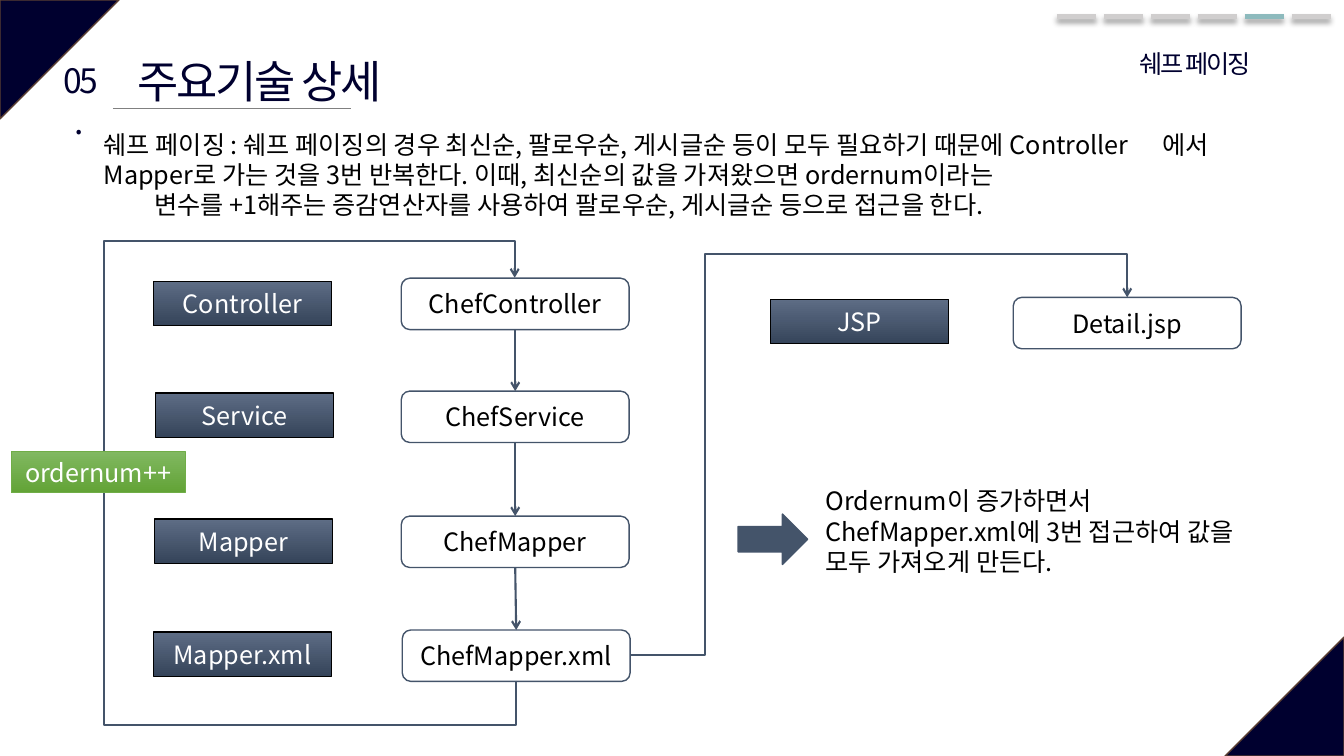
from lxml.etree import SubElement
from pptx import Presentation
from pptx.dml.color import RGBColor
from pptx.enum.shapes import MSO_CONNECTOR, MSO_SHAPE
from pptx.enum.text import MSO_ANCHOR, MSO_AUTO_SIZE, PP_ALIGN
from pptx.oxml.ns import qn
from pptx.util import Inches, Pt

FONT = "Noto Sans CJK KR"
NAVY, SLATE, BLACK, WHITE = "00002F", "44546A", "000000", "FFFFFF"
STEEL = ("5E6D85", "35445A")
GREEN = ("81B861", "62A336")

CORNERS = [(0, 0, 90), (12.15, 6.32, 270)]
TABS = ["D0CECE"] * 4 + ["8DBABD", "D0CECE"]
HEADS = [
    ("주요기술 상세", (1.12, 0.48, 2.91, 0.64), 32, False),
    ("05.", (0.5, 0.55, 0.58, 0.5), 24, False),
    ("쉐프 페이징", (10.61, 0.43, 2.49, 0.4), 18, True),
]
NOTES = [
    ("쉐프 페이징 : 쉐프 페이징의 경우 최신순, 팔로우순, 게시글순 등이 모두 필요하기 때문에 Controller\t"
     "에서 Mapper로 가는 것을 3번 반복한다. 이때, 최신순의 값을 가져왔으면 ordernum이라는\n"
     "\t변수를 +1해주는 증감연산자를 사용하여 팔로우순, 게시글순 등으로 접근을 한다.",
     (0.93, 1.23, 11.57, 1.01)),
    ("Ordernum이 증가하면서 ChefMapper.xml에 3번 접근하여 값을\n모두 가져오게 만든다.",
     (8.09, 4.77, 4.77, 1.01)),
]
LAYERS = [
    ("Controller", 1.52, 2.79), ("Service", 1.54, 3.9), ("Mapper", 1.53, 5.15),
    ("Mapper.xml", 1.52, 6.27), ("JSP", 7.64, 2.97),
]
FILES = [
    ("ChefController", 3.98, 2.76), ("ChefService", 3.98, 3.88),
    ("ChefMapper", 3.98, 5.12), ("ChefMapper.xml", 3.99, 6.25),
    ("Detail.jsp", 10.05, 2.95),
]
WIDE, TALL = 2.26, 0.51
BENDS = [
    ((7.11, 4.75, 3.11, 4.76), "bentConnector5", (-0.11, 415, 1.09), 90),
    ((6.25, 6.5, 11.18, 2.95), "bentConnector4", (0.15, 1.12), 0),
]

deck = Presentation()
deck.slide_width, deck.slide_height = Inches(13.33), Inches(7.5)
slide = deck.slides.add_slide(deck.slide_layouts[6])


def color(code):
    return RGBColor.from_string(code)


def write(frame, text, size=18, ink=BLACK, align=None, space=None):
    frame.text = text
    for para in frame.paragraphs:
        para.alignment = align
        para.font.size = Pt(size)
        para.font.name = FONT
        para.font.color.rgb = color(ink)
        for run in para.runs:
            props = run.font._element if hasattr(run.font, "_element") else run._r.get_or_add_rPr()
            if space is not None:
                props.set("spc", str(space))
            SubElement(props, qn("a:ea")).set("typeface", FONT)


def label(text, box, size=18, ink=BLACK, align=None, space=None, wrap=True):
    frame = slide.shapes.add_textbox(*map(Inches, box)).text_frame
    frame.word_wrap = wrap
    frame.auto_size = MSO_AUTO_SIZE.SHAPE_TO_FIT_TEXT
    write(frame, text, size, ink, align, space)


def block(kind, box, fill, edge, width=1, text="", ink=WHITE):
    shape = slide.shapes.add_shape(kind, *map(Inches, box))
    shape.shadow.inherit = False
    if isinstance(fill, tuple):
        shape.fill.gradient()
        shape.fill.gradient_angle = 270
        for stop, code in zip(shape.fill.gradient_stops, fill):
            stop.color.rgb = color(code)
        for stop, place in zip(shape.fill.gradient_stops, (0, 1)):
            stop.position = place
    else:
        shape.fill.solid()
        shape.fill.fore_color.rgb = color(fill)
    shape.line.color.rgb = color(edge)
    shape.line.width = Pt(width)
    if text:
        shape.text_frame.vertical_anchor = MSO_ANCHOR.MIDDLE
        write(shape.text_frame, text, ink=ink, align=PP_ALIGN.CENTER)
    return shape


def link(ends, code=SLATE, width=1.5, kind=MSO_CONNECTOR.STRAIGHT, arrow=False, shade=False):
    line = slide.shapes.add_connector(kind, *map(Inches, ends))
    line.line.color.rgb = color(code)
    line.line.width = Pt(width)
    props = line._element.spPr
    if arrow:
        SubElement(props.find(qn("a:ln")), qn("a:tailEnd")).set("type", "arrow")
    effect = SubElement(props, qn("a:effectLst"))
    if shade:
        cast = SubElement(effect, qn("a:outerShdw"), blurRad=str(Pt(4)),
                          dist=str(Pt(3)), dir="5400000", algn="t", rotWithShape="0")
        tint = SubElement(cast, qn("a:srgbClr"), val=BLACK)
        SubElement(tint, qn("a:alpha"), val="40000")
    return line


def bend(ends, name, marks, turn):
    props = link(ends, kind=MSO_CONNECTOR.ELBOW, arrow=True)._element.spPr
    props.find(qn("a:xfrm")).set("rot", str(turn * 60000))
    shape = props.find(qn("a:prstGeom"))
    shape.set("prst", name)
    guides = shape.find(qn("a:avLst"))
    for num, mark in enumerate(marks, 1):
        SubElement(guides, qn("a:gd"), name=f"adj{num}", fmla=f"val {round(mark * 100000)}")


for left, top, turn in CORNERS:
    corner = block(MSO_SHAPE.ISOSCELES_TRIANGLE, (left, top, 1.18, 1.18), NAVY, "5B3F33")
    corner.adjustments[0] = 0
    corner.rotation = turn

for num, code in enumerate(TABS):
    left = 10.48 + num * 0.466
    link((left, 0.16, left + 0.39, 0.16), code, 3.5, shade=True)
link((1.12, 1.08, 3.48, 1.08), "808080", 0.5)

for text, box, size, wrap in HEADS:
    label(text, box, size, NAVY, PP_ALIGN.CENTER, -150, wrap)
for text, box in NOTES:
    label(text, box)

for text, left, top in LAYERS:
    block(MSO_SHAPE.RECTANGLE, (left, top, 1.77, 0.44), STEEL, BLACK, text=text)
for text, left, top in FILES:
    block(MSO_SHAPE.ROUNDED_RECTANGLE, (left, top, WIDE, TALL), WHITE, SLATE, text=text, ink=BLACK)

chain = FILES[:4]
for (_, left, top), (_, after, below) in zip(chain, chain[1:]):
    link((left + WIDE / 2, top + TALL, after + WIDE / 2, below), arrow=True)
for item in BENDS:
    bend(*item)

block(MSO_SHAPE.RECTANGLE, (0.11, 4.48, 1.73, 0.41), GREEN, "70AD47", 0.5, "ordernum++")
block(MSO_SHAPE.RIGHT_ARROW, (7.32, 5.1, 0.69, 0.5), SLATE, SLATE)

deck.save("out.pptx")
